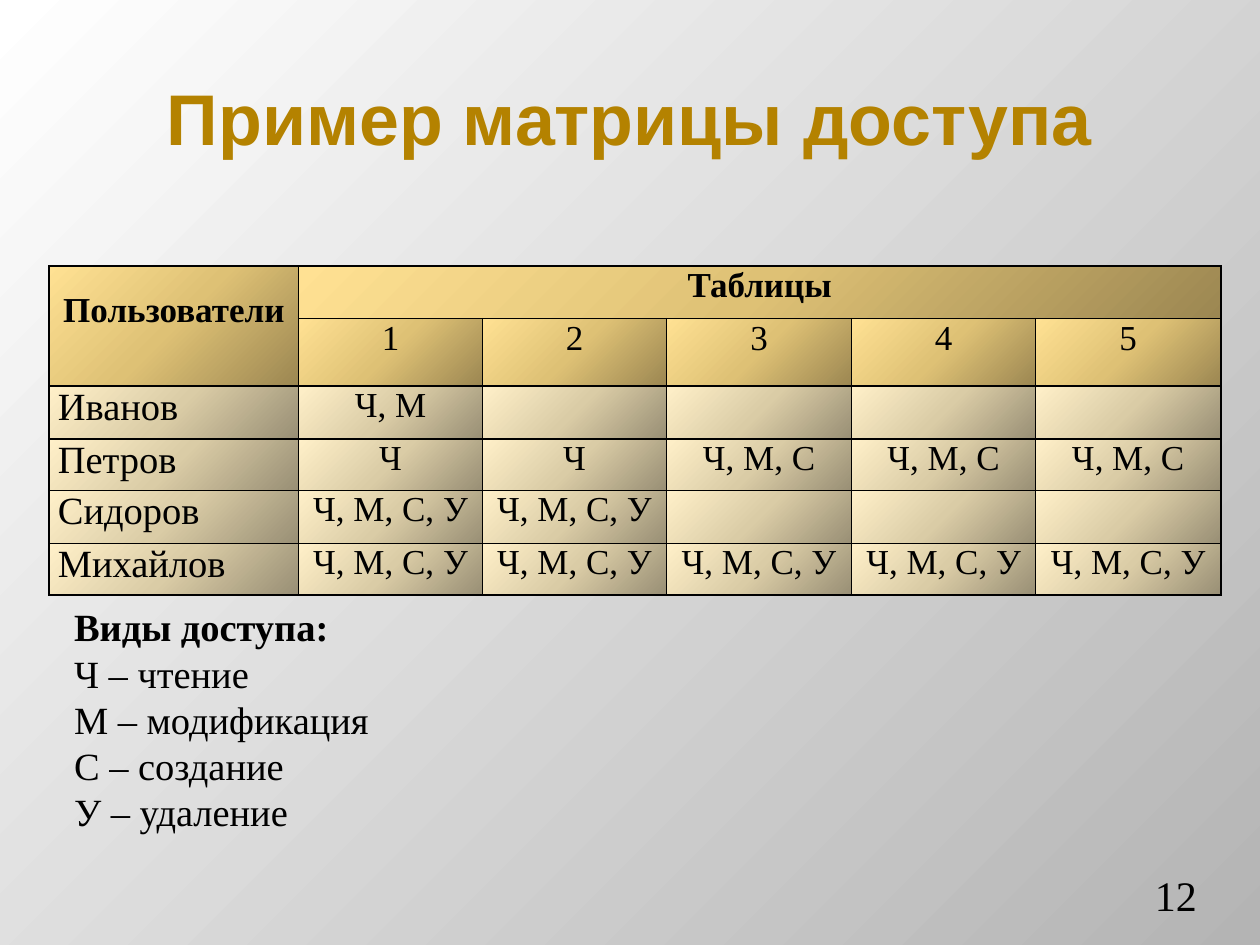
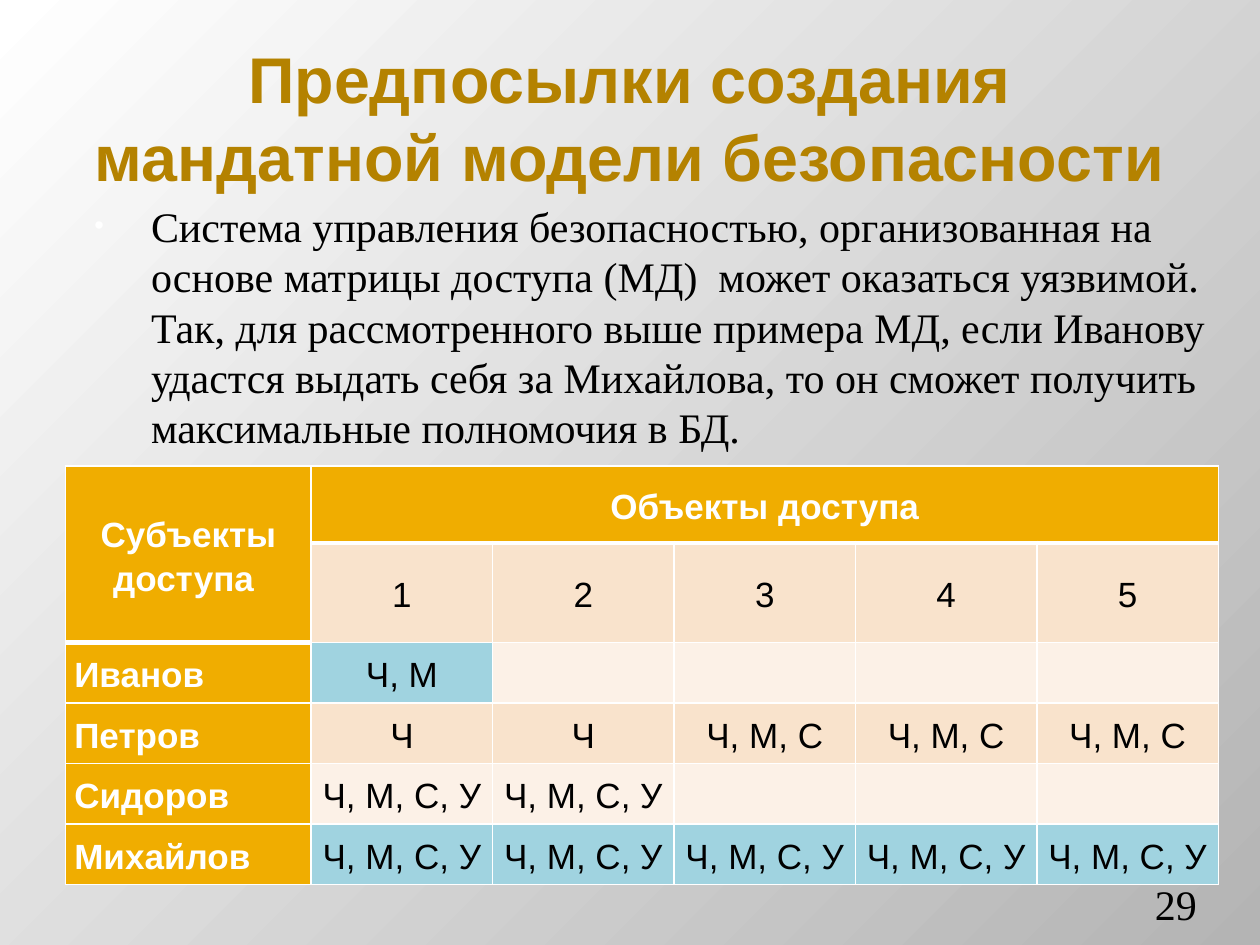
"""Build two slides on access matrices and the case for a mandatory security model."""
from dataclasses import dataclass
from typing import Callable, NamedTuple, Optional

from lxml.etree import SubElement
from pptx import Presentation
from pptx.dml.color import RGBColor
from pptx.enum.text import MSO_ANCHOR, PP_ALIGN
from pptx.oxml import parse_xml
from pptx.oxml.ns import nsdecls, qn
from pptx.util import Pt

PX = 9144

BLACK = RGBColor(0x00, 0x00, 0x00)
WHITE = RGBColor(0xFF, 0xFF, 0xFF)
SILVER = RGBColor(0xB4, 0xB4, 0xB4)
OCHRE = RGBColor(0xB4, 0x82, 0x00)
AMBER = RGBColor(0xF0, 0xAD, 0x00)
PEACH = RGBColor(0xF9, 0xE3, 0xCC)
CREAM = RGBColor(0xFC, 0xF1, 0xE7)
SKY = RGBColor(0xA0, 0xD3, 0xE0)
GOLD_BLEND = [RGBColor(0x9C, 0x87, 0x52), RGBColor(0xDE, 0xC1, 0x75), RGBColor(0xFF, 0xE1, 0x93)]
SAND_BLEND = [RGBColor(0x99, 0x8F, 0x75), RGBColor(0xDA, 0xCC, 0xA6), RGBColor(0xFF, 0xF0, 0xC9)]

SANS = "Arial"
SERIF = "Times New Roman"
LINE_PITCH = 1.2

READ = "Ч"
READ_MODIFY = "Ч, М"
READ_MODIFY_CREATE = "Ч, М, С"
FULL = "Ч, М, С, У"
OBJECTS = ["1", "2", "3", "4", "5"]
RIGHTS = {
    "Иванов": [READ_MODIFY, "", "", "", ""],
    "Петров": [READ, READ] + [READ_MODIFY_CREATE] * 3,
    "Сидоров": [FULL, FULL, "", "", ""],
    "Михайлов": [FULL] * 5,
}
ACCESS_KINDS = ["Виды доступа:", "Ч – чтение", "М – модификация", "С – создание", "У – удаление"]
WEAKNESS = (
    "Система управления безопасностью, организованная на основе матрицы доступа (МД)  может "
    "оказаться уязвимой. Так, для рассмотренного выше примера МД, если Иванову удастся выдать "
    "себя за Михайлова, то он сможет получить максимальные полномочия в БД."
)


class Box(NamedTuple):
    """A rectangle in px."""
    left: int
    top: int
    width: int
    height: int


@dataclass(frozen=True)
class Style:
    """How the paragraphs of a box or a cell look."""
    size: float
    font: str = SERIF
    color: RGBColor = BLACK
    bold: bool = False
    align: PP_ALIGN = PP_ALIGN.CENTER
    anchor: MSO_ANCHOR = MSO_ANCHOR.TOP


@dataclass(frozen=True)
class CellLook:
    """Text style, fill and insets of one cell."""
    style: Style
    fill: RGBColor | list[RGBColor]
    inset_top: int = 0
    inset_bottom: int = 0
    inset_x: int = 7


@dataclass(frozen=True)
class Matrix:
    """An access matrix with its headings, sizes and rules of appearance."""
    left: int
    top: int
    corner: str
    heading: str
    columns: list[int]
    rows: list[int]
    look: Callable[[int, int], CellLook]
    edge: RGBColor
    spacing: Optional[float] = None
    header_edge: int = 1


def blend(colors: list[RGBColor], focus: str):
    """Return a radial gradient whose first colour sits at the focus corner."""
    step = 100000 // (len(colors) - 1)
    stops = "".join(
        f'<a:gs pos="{i * step}"><a:srgbClr val="{color}"/></a:gs>' for i, color in enumerate(colors)
    )
    return parse_xml(
        f'<a:gradFill {nsdecls("a")} rotWithShape="1"><a:gsLst>{stops}</a:gsLst>'
        f'<a:path path="circle"><a:fillToRect {focus}/></a:path></a:gradFill>'
    )


def style_paragraph(paragraph, style: Style, spacing) -> None:
    """Apply a style to one paragraph."""
    paragraph.alignment = style.align
    paragraph.line_spacing = spacing
    font = paragraph.font
    font.name, font.size, font.bold = style.font, Pt(style.size), style.bold
    font.color.rgb = style.color


def add_text(slide, box: Box, lines: list[str], style: Style, inset_x: int = 10, wrap: bool = True):
    """Add a text box and return its paragraphs."""
    frame = slide.shapes.add_textbox(*(side * PX for side in box)).text_frame
    frame.word_wrap = wrap
    frame.vertical_anchor = style.anchor
    frame.margin_left = frame.margin_right = inset_x * PX
    frame.margin_top = frame.margin_bottom = 5 * PX
    frame.text = "\n".join(lines)
    for paragraph in frame.paragraphs:
        style_paragraph(paragraph, style, Pt(style.size * LINE_PITCH))
    return frame.paragraphs


def indent(paragraph, margin: int, first: int):
    """Set the left margin and first-line indent of a paragraph."""
    properties = paragraph._p.get_or_add_pPr()
    properties.set("marL", str(margin * PX))
    properties.set("indent", str(first * PX))
    return properties


def add_bullet(paragraph) -> None:
    """Give a paragraph a small white hanging bullet."""
    defaults = indent(paragraph, 60, -45).find(qn("a:defRPr"))
    for mark in (
        f'<a:buClr {nsdecls("a")}><a:srgbClr val="{WHITE}"/></a:buClr>',
        f'<a:buSzPct {nsdecls("a")} val="65000"/>',
        f'<a:buFont {nsdecls("a")} typeface="{SANS}"/>',
        f'<a:buChar {nsdecls("a")} char="•"/>',
    ):
        defaults.addprevious(parse_xml(mark))


def add_edges(cell, color: RGBColor, top: int, bottom: int) -> None:
    """Draw the four borders of a cell."""
    properties = cell._tc.get_or_add_tcPr()
    for side, width in (("L", 1), ("R", 1), ("T", top), ("B", bottom)):
        line = SubElement(properties, qn(f"a:ln{side}"), w=str(Pt(width)))
        SubElement(SubElement(line, qn("a:solidFill")), qn("a:srgbClr"), val=str(color))


def add_matrix(slide, matrix: Matrix) -> None:
    """Add an access matrix as a table."""
    texts = [[matrix.corner, matrix.heading, "", "", "", ""], [""] + OBJECTS]
    texts += [[user, *rights] for user, rights in RIGHTS.items()]
    table = slide.shapes.add_table(
        len(matrix.rows), len(matrix.columns), matrix.left * PX, matrix.top * PX,
        sum(matrix.columns) * PX, sum(matrix.rows) * PX,
    ).table
    table.first_row = table.horz_banding = False
    for column, width in zip(table.columns, matrix.columns):
        column.width = width * PX
    for row, height in zip(table.rows, matrix.rows):
        row.height = height * PX

    def edge_below(r: int, c: int) -> int:
        return matrix.header_edge if r == 0 or (r, c) == (1, 0) else 1

    for r, row_texts in enumerate(texts):
        for c, text in enumerate(row_texts):
            cell, look = table.cell(r, c), matrix.look(r, c)
            cell.margin_left = cell.margin_right = look.inset_x * PX
            cell.margin_top, cell.margin_bottom = look.inset_top * PX, look.inset_bottom * PX
            cell.vertical_anchor = look.style.anchor
            cell.text = text
            style_paragraph(cell.text_frame.paragraphs[0], look.style, matrix.spacing)
            add_edges(cell, matrix.edge, edge_below(r - 1, c) if r else 1, edge_below(r, c))
            if isinstance(look.fill, RGBColor):
                cell.fill.solid()
                cell.fill.fore_color.rgb = look.fill
            else:
                cell._tc.get_or_add_tcPr().append(blend(look.fill, 'l="100000" t="100000"'))
    table.cell(0, 0).merge(table.cell(1, 0))
    table.cell(0, 1).merge(table.cell(0, len(OBJECTS)))


def golden_look(r: int, c: int) -> CellLook:
    """Return the look of a cell in the golden matrix."""
    if r < 2:
        return CellLook(Style(20, bold=r == 0), GOLD_BLEND, inset_top=20 if c == 0 else 0)
    if c == 0:
        return CellLook(Style(22, align=PP_ALIGN.JUSTIFY), SAND_BLEND)
    return CellLook(Style(20), SAND_BLEND)


def banded_look(r: int, c: int) -> CellLook:
    """Return the look of a cell in the banded matrix."""
    heading = r == 0 or c == 0
    stolen = (r, c) == (2, 1) or r == 5
    fill = AMBER if heading else SKY if stolen else PEACH if r % 2 else CREAM
    align = PP_ALIGN.LEFT if c == 0 and r > 1 else PP_ALIGN.CENTER
    style = Style(20, SANS, WHITE if heading else BLACK, heading, align, MSO_ANCHOR.MIDDLE)
    inset = 1 if r < 2 and c == 0 else 4
    return CellLook(style, fill, inset, inset)


def add_slide(deck, title: str, title_size: float, number: str, number_top: int):
    """Add a slide with the shared background, title and number."""
    slide = deck.slides.add_slide(deck.slide_layouts[6])
    slide.background.fill.solid()
    background = slide.element.find(f".//{qn('p:bgPr')}")
    background.replace(background[0], blend([WHITE, SILVER], 'r="100000" b="100000"'))
    add_text(slide, Box(50, 30, 900, 125), [title],
             Style(title_size, SANS, OCHRE, True, anchor=MSO_ANCHOR.MIDDLE))
    add_text(slide, Box(867, number_top, 83, 40), [number],
             Style(24, align=PP_ALIGN.RIGHT, anchor=MSO_ANCHOR.BOTTOM), inset_x=0)
    return slide


def add_example_slide(deck) -> None:
    """Add the sample matrix with its key of access kinds."""
    slide = add_slide(deck, "Пример матрицы доступа", 41, "12", 695)
    add_matrix(slide, Matrix(39, 211, "Пользователи", "Таблицы", [198, 146, 146, 147, 146, 147],
                             [42, 52] + [42, 41] * 2, golden_look, BLACK))
    key = add_text(slide, Box(0, 473, 306, 195), ACCESS_KINDS,
                   Style(22, align=PP_ALIGN.JUSTIFY, anchor=MSO_ANCHOR.MIDDLE), wrap=False)
    for kind in key:
        indent(kind, 0, 49)
    key[0].font.bold = True


def add_premises_slide(deck) -> None:
    """Add the weakness of the matrix and the cells it exposes."""
    slide = add_slide(deck, "Предпосылки создания мандатной модели безопасности", 36.9, "29", 702)
    weakness = add_text(slide, Box(50, 154, 932, 515), [WEAKNESS], Style(24, align=PP_ALIGN.LEFT))
    add_bullet(weakness[0])
    add_matrix(slide, Matrix(52, 370, "Субъекты доступа ", "Объекты доступа", [195] + [144] * 5,
                             [61, 79] + [48] * 4, banded_look, WHITE, 1.15, 3))


def main() -> None:
    """Build and save the deck."""
    deck = Presentation()
    deck.slide_width, deck.slide_height = 1000 * PX, 750 * PX
    add_example_slide(deck)
    add_premises_slide(deck)
    deck.save("out.pptx")


if __name__ == "__main__":
    main()
